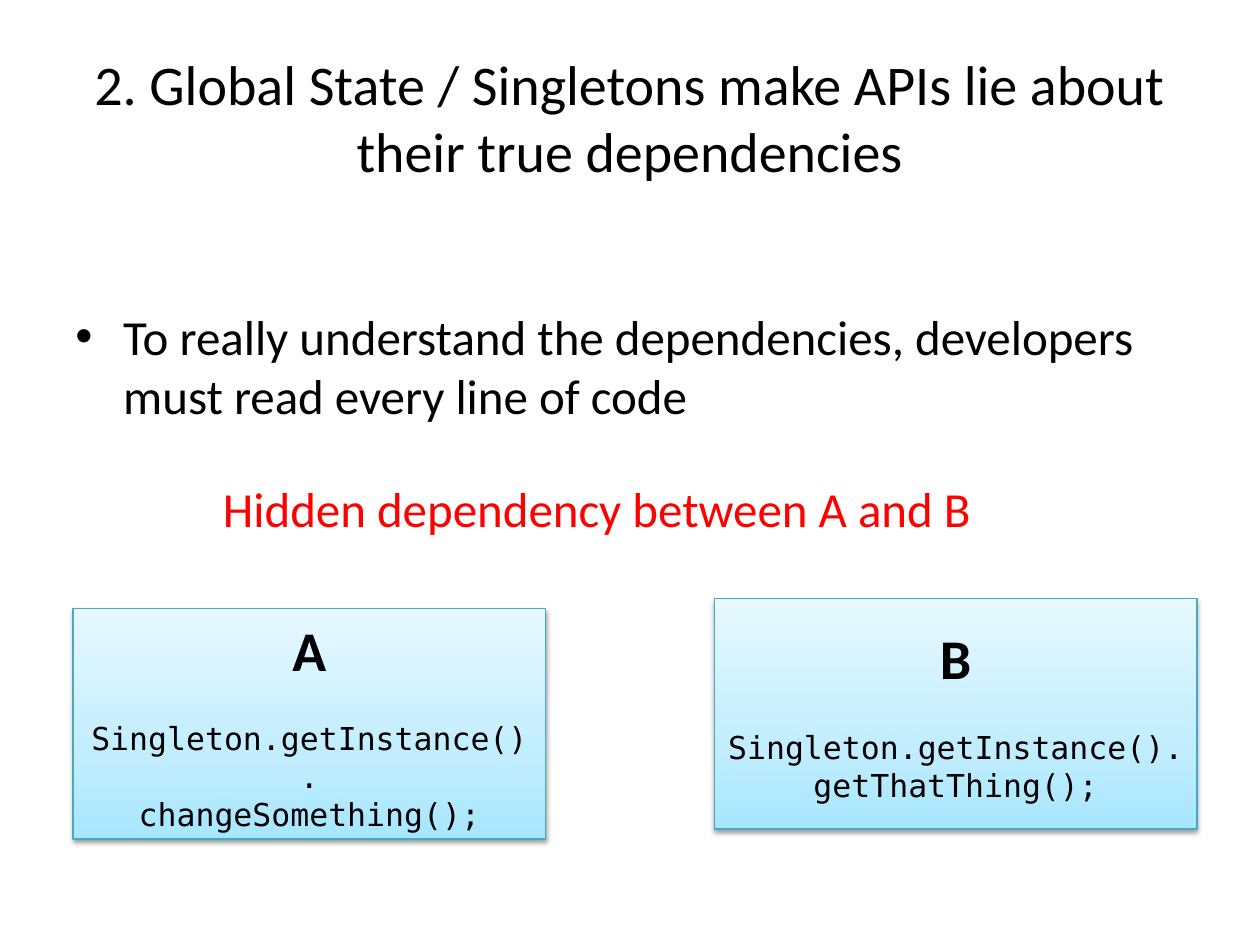
from lxml.etree import SubElement
from pptx import Presentation
from pptx.dml.color import RGBColor
from pptx.enum.shapes import MSO_SHAPE
from pptx.enum.text import MSO_ANCHOR, MSO_AUTO_SIZE, PP_ALIGN
from pptx.oxml.ns import qn
from pptx.util import Inches, Pt

# Content
TITLE = "2. Global State / Singletons make APIs lie about their true dependencies"
BULLET = ("To really understand the dependencies, developers "
          "must read every line of code")
CALLOUT = "Hidden dependency between A and B"
CALL = "Singleton.getInstance()."
CLASSES = [  # name, method, (left, top, width)
    ("A", "changeSomething();", (0.58, 4.83, 3.75)),
    ("B", "getThatThing();", (5.67, 4.75, 3.83)),
]

# Style
WIDTH, HEIGHT = 10, 7.5
MARGIN = 0.05 * WIDTH
CLASS_HEIGHT = 1.83
BODY_FONT, CODE_FONT = "Calibri", "DejaVu Sans Mono"
COLORS = {"text": "000000", "alert": "FF0000", "line": "46AAC5", "shadow": "000000"}
GRADIENT = [(0, "A7E6FF"), (35, "C1EDFF"), (100, "E7F8FF")]


def color(name):
    return RGBColor.from_string(COLORS[name])


def format_paragraph(paragraph, size, font=BODY_FONT, tone="text", bold=False, align=None):
    paragraph.alignment = align
    for run in paragraph.runs:
        run.font.size = Pt(size)
        run.font.name = font
        run.font.bold = bold
        run.font.color.rgb = color(tone)


def fill_gradient(shape):
    shape.fill.gradient()
    shape.fill.gradient_angle = 90
    stops = shape._element.spPr.find(qn("a:gradFill")).find(qn("a:gsLst"))
    for stop in list(stops):
        stops.remove(stop)
    for position, value in GRADIENT:
        stop = SubElement(stops, qn("a:gs"), pos=str(position * 1000))
        SubElement(stop, qn("a:srgbClr"), val=value)


def add_shadow(shape):
    shape.shadow.inherit = False
    effects = shape._element.spPr.find(qn("a:effectLst"))
    shadow = SubElement(effects, qn("a:outerShdw"), blurRad=str(Pt(3.1)),
                        dist=str(Pt(1.6)), dir="5400000", rotWithShape="0")
    tone = SubElement(shadow, qn("a:srgbClr"), val=COLORS["shadow"])
    SubElement(tone, qn("a:alpha"), val="38000")


def add_class_box(slide, name, method, place):
    left, top, width = map(Inches, place)
    shape = slide.shapes.add_shape(MSO_SHAPE.RECTANGLE, left, top, width, Inches(CLASS_HEIGHT))
    fill_gradient(shape)
    shape.line.color.rgb = color("line")
    shape.line.width = Pt(0.75)
    add_shadow(shape)
    frame = shape.text_frame
    frame.word_wrap = True
    frame.vertical_anchor = MSO_ANCHOR.MIDDLE
    frame.text = "\n".join([name, CALL, method])
    heading, *code = frame.paragraphs
    format_paragraph(heading, 32, bold=True, align=PP_ALIGN.CENTER)
    for paragraph in code:
        format_paragraph(paragraph, 18, CODE_FONT, align=PP_ALIGN.CENTER)
    code[0].space_before = Pt(21)


presentation = Presentation()
presentation.slide_width, presentation.slide_height = Inches(WIDTH), Inches(HEIGHT)
slide = presentation.slides.add_slide(presentation.slide_layouts[5])

# Title
title = slide.shapes.title
title.left, title.top = Inches(MARGIN), Inches(0.04 * HEIGHT)
title.width, title.height = Inches(WIDTH - 2 * MARGIN), Inches(1.25)
title.text_frame.text = TITLE
title.text_frame.vertical_anchor = MSO_ANCHOR.MIDDLE
format_paragraph(title.text_frame.paragraphs[0], 32, align=PP_ALIGN.CENTER)

# Bullet text
body = slide.shapes.add_textbox(Inches(MARGIN), Inches(1.75),
                                Inches(WIDTH - 2 * MARGIN), Inches(0.66 * HEIGHT))
body.text_frame.word_wrap = True
body.text_frame.margin_top = Inches(0.68)
body.text_frame.text = BULLET
paragraph = body.text_frame.paragraphs[0]
format_paragraph(paragraph, 28)
properties = paragraph._p.get_or_add_pPr()
properties.set("marL", str(Inches(0.38)))
properties.set("indent", str(-Inches(0.38)))
SubElement(properties, qn("a:buFont"), typeface="Arial")
SubElement(properties, qn("a:buChar"), char="•")

# Class boxes
for name, method, place in CLASSES:
    add_class_box(slide, name, method, place)

# Callout
callout = slide.shapes.add_textbox(Inches(1.67), Inches(HEIGHT / 2), Inches(6.21), Inches(0.57))
callout.text_frame.word_wrap = False
callout.text_frame.auto_size = MSO_AUTO_SIZE.SHAPE_TO_FIT_TEXT
callout.text_frame.text = CALLOUT
format_paragraph(callout.text_frame.paragraphs[0], 28, tone="alert")

presentation.save("out.pptx")
